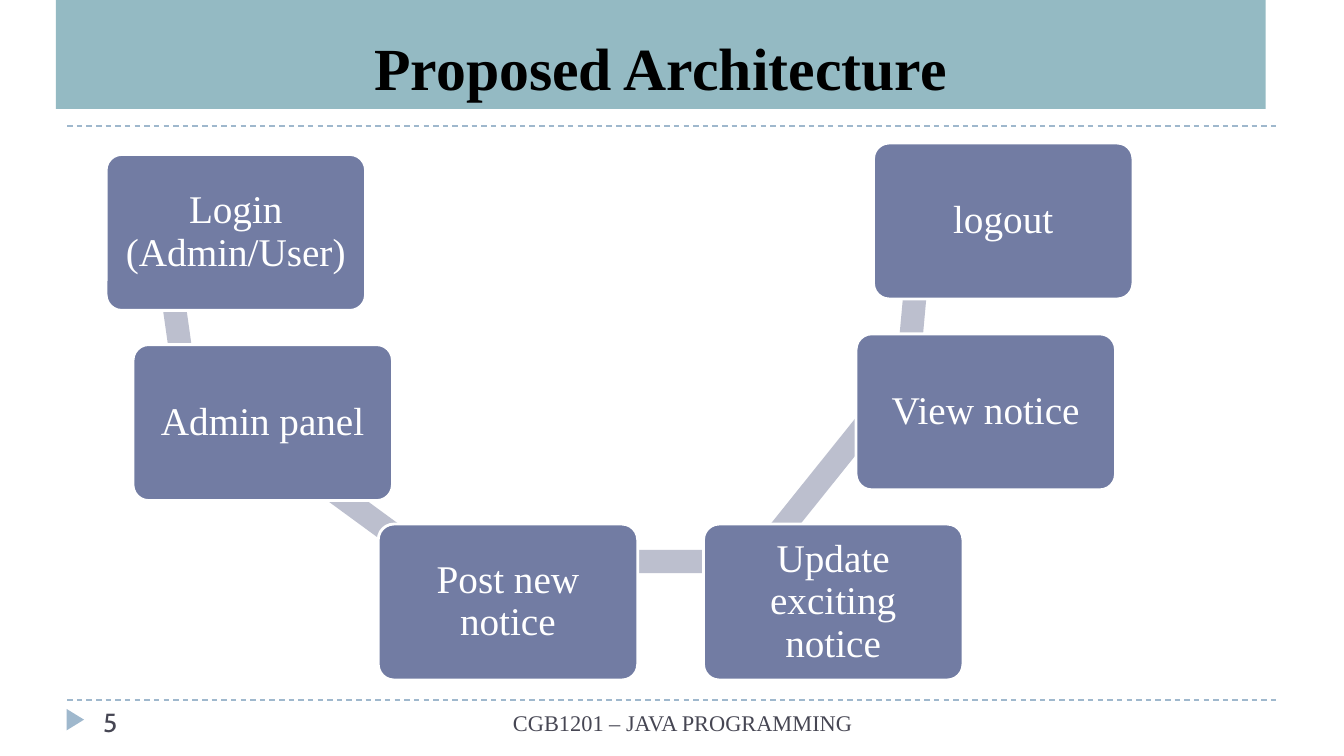
from math import atan2, degrees, hypot
from typing import NamedTuple

from lxml import etree
from pptx import Presentation, util as u
from pptx.dml.color import RGBColor
from pptx.enum import dml, shapes, text
from pptx.oxml import ns

UNIT = u.Inches(0.1)
WIDTH = 100
HEIGHT = WIDTH * 9 / 16

TEAL = RGBColor(0x94, 0xBA, 0xC3)
SKY = RGBColor(0x9F, 0xB8, 0xCD)
INDIGO = RGBColor(0x72, 0x7C, 0xA3)
LAVENDER = RGBColor(0xBC, 0xBF, 0xCE)
SLATE = RGBColor(0x46, 0x46, 0x53)
BLACK = RGBColor(0, 0, 0)
WHITE = RGBColor(0xFF, 0xFF, 0xFF)
SERIF, SANS = "Times New Roman", "Cabin"

STEP_WIDTH, STEP_HEIGHT = 19.3, 11.6
STEPS = [
    ("Login (Admin/User)", 0, 0.85),
    ("Admin panel", 2, 15),
    ("Post new notice", 20.25, 28.35),
    ("Update exciting notice", 44.45, 28.35),
    ("View notice", 55.8, 14.2),
    ("logout", 57.1, 0),
]


class Box(NamedTuple):
    """A rectangle measured in grid columns and rows."""
    left: float
    top: float
    width: float
    height: float

    def inner(self, left, top, width, height):
        """Return a box placed relative to this one."""
        return Box(self.left + left, self.top + top, width, height)

    def lengths(self):
        """Return the four lengths in slide units."""
        return [round(value * UNIT) for value in self]


def add_shape(page, kind, box, fill, rotation=0):
    """Add a flat filled shape without outline."""
    shape = page.shapes.add_shape(kind, *box.lengths())
    shape.shadow.inherit = False
    shape.fill.solid()
    shape.fill.fore_color.rgb = fill
    shape.line.fill.background()
    shape.rotation = rotation
    return shape


def write(shape, wording, size, color, align, anchor, font=SERIF, bold=False):
    """Write one paragraph into a shape and return it."""
    frame = shape.text_frame
    frame.word_wrap = True
    frame.vertical_anchor = anchor
    para = frame.paragraphs[0]
    para.text = wording
    para.alignment = align
    para.font.name, para.font.size, para.font.bold = font, u.Pt(size), bold
    para.font.color.rgb = color
    return para


def add_rule(page, box):
    """Draw a dashed line along the top of the box."""
    left, top, width, _ = box.lengths()
    rule = page.shapes.add_connector(
        shapes.MSO_CONNECTOR.STRAIGHT, left, top, left + width, top)
    rule.line.color.rgb = SKY
    rule.line.width = u.Pt(0.75)
    rule.line.dash_style = dml.MSO_LINE.DASH
    etree.SubElement(rule._element.spPr, ns.qn("a:effectLst"))


def add_header(page, box):
    """Place the title band and the rule below it."""
    add_rule(page, box.inner(0.83, 9.38, box.width, 0))
    band = add_shape(page, shapes.MSO_SHAPE.RECTANGLE, box, TEAL)
    write(band, "Proposed Architecture", 32, BLACK,
          text.PP_ALIGN.CENTER, text.MSO_ANCHOR.BOTTOM, bold=True)


def add_footer(page, box):
    """Place the rule, marker, page number and course name."""
    add_rule(page, box)
    add_shape(page, shapes.MSO_SHAPE.ISOSCELES_TRIANGLE,
              box.inner(-0.2, 0.8, 1.6, 1.3), SKY, 90)
    course = page.shapes.add_textbox(*box.inner(23.75, 0.2, 44.1, 2.5).lengths())
    write(course, "CGB1201 – JAVA PROGRAMMING", 12, SLATE,
          text.PP_ALIGN.CENTER, text.MSO_ANCHOR.TOP)
    number = page.shapes.add_textbox(*box.inner(1.7, 0, 21.7, 3).lengths())
    write(number, "5", 14, SLATE, text.PP_ALIGN.LEFT, text.MSO_ANCHOR.TOP, SANS)


def add_link(page, start, end):
    """Lay a bar from one step to the next, near their upper left."""
    run, rise = end.left - start.left, end.top - start.top
    length, thickness = hypot(run, rise), 0.15 * STEP_HEIGHT
    center_x = (start.left + end.left) / 2 + 0.2 * STEP_WIDTH
    center_y = (start.top + end.top) / 2 + 0.24 * STEP_HEIGHT
    bar = Box(center_x - length / 2, center_y - thickness / 2, length, thickness)
    add_shape(page, shapes.MSO_SHAPE.RECTANGLE, bar, LAVENDER,
              degrees(atan2(rise, run)))


def add_step(page, box, wording):
    """Place one rounded step with its label."""
    card = add_shape(page, shapes.MSO_SHAPE.ROUNDED_RECTANGLE, box, INDIGO)
    card.adjustments[0] = 0.1
    card.line.color.rgb = WHITE
    card.line.width = u.Pt(1.5)
    frame = card.text_frame
    frame.margin_left = frame.margin_right = u.Inches(0.09)
    frame.margin_top = frame.margin_bottom = u.Inches(0.09)
    para = write(card, wording, 21, WHITE,
                 text.PP_ALIGN.CENTER, text.MSO_ANCHOR.MIDDLE)
    para.line_spacing = 0.9


def add_flow(page, box):
    """Place the steps, each over the link to its successor."""
    cards = [box.inner(left, top, STEP_WIDTH, STEP_HEIGHT)
             for _, left, top in STEPS]
    for index, (wording, _, _) in enumerate(STEPS):
        if index + 1 < len(cards):
            add_link(page, cards[index], cards[index + 1])
        add_step(page, cards[index], wording)


def main():
    """Build the deck and save it."""
    deck = Presentation()
    deck.slide_width = round(WIDTH * UNIT)
    deck.slide_height = round(HEIGHT * UNIT)
    page = deck.slides.add_slide(deck.slide_layouts[6])
    add_header(page, Box(4.17, 0, 90, 8.1))
    add_footer(page, Box(5, 52.1, 90, 4.1))
    add_flow(page, Box(7.9, 10.65, 76.4, 39.9))
    deck.save("out.pptx")


if __name__ == "__main__":
    main()
